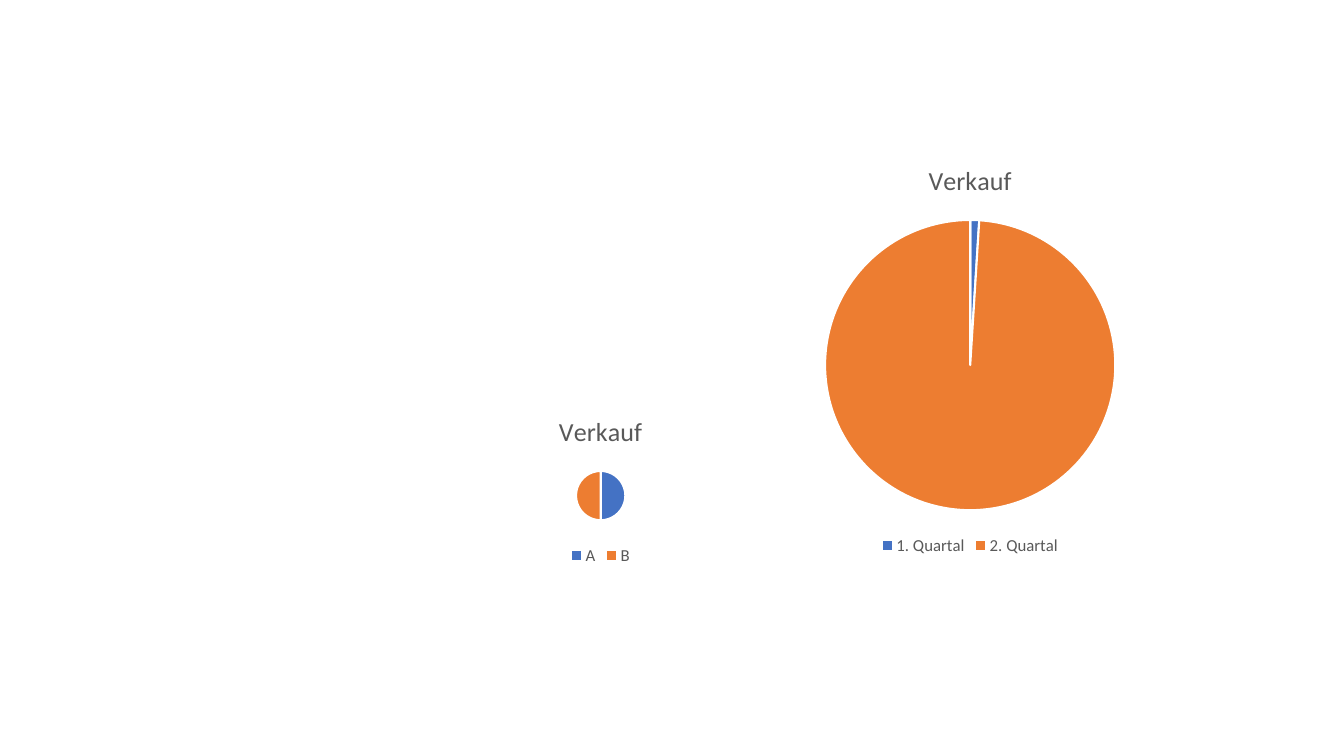
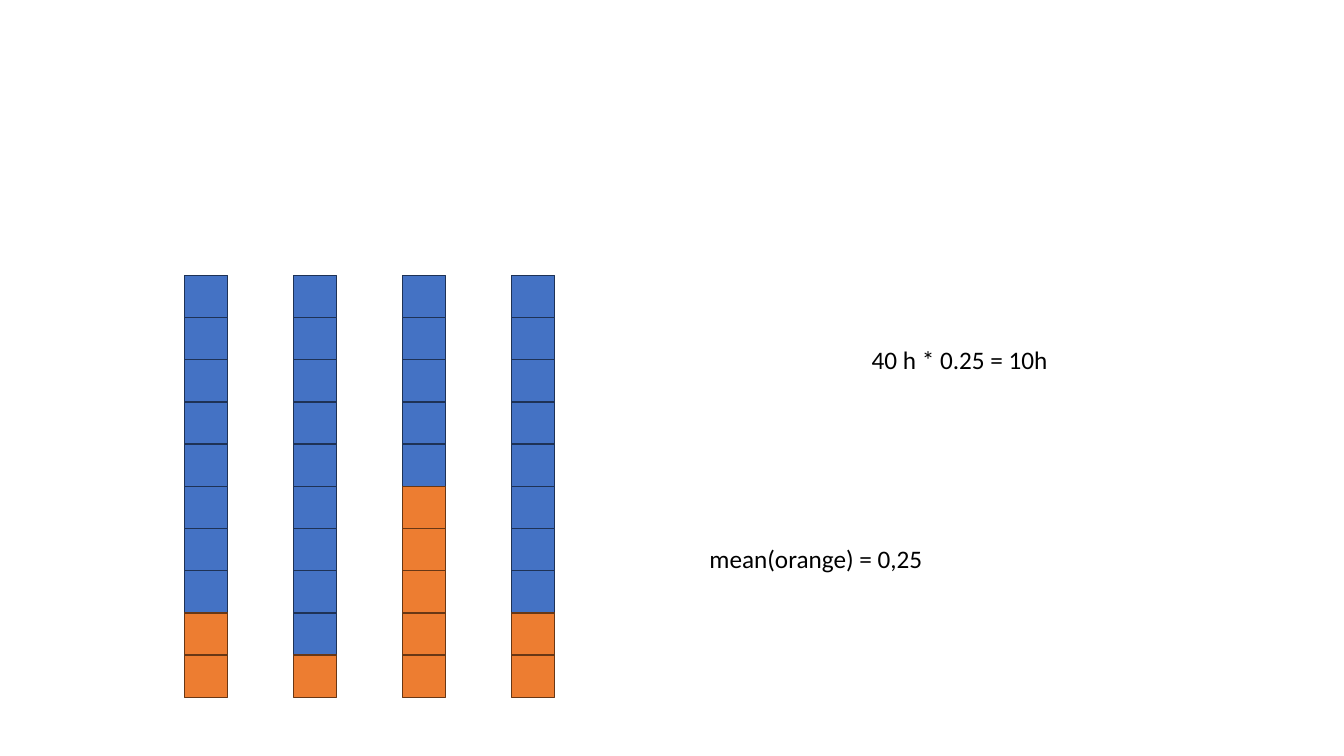
from pptx import Presentation
from pptx.chart.data import CategoryChartData
from pptx.dml.color import RGBColor
from pptx.enum.chart import XL_CHART_TYPE as ChartType, XL_LEGEND_POSITION as LegendPosition
from pptx.enum.shapes import MSO_SHAPE as Shape
from pptx.enum.text import MSO_AUTO_SIZE as AutoSize
from pptx.util import Pt

BLUE = RGBColor(0x44, 0x72, 0xC4)
DARK_BLUE = RGBColor(0x1E, 0x32, 0x56)
ORANGE = RGBColor(0xED, 0x7D, 0x31)
DARK_ORANGE = RGBColor(0x68, 0x37, 0x15)
GREY = RGBColor(0x59, 0x59, 0x59)
BLACK = RGBColor(0, 0, 0)
WHITE = RGBColor(0xFF, 0xFF, 0xFF)
FONT = "Calibri"

# Boxes are left, top, width, height in points.
PIES = [
    {"box": (338.4, 285.8, 181.4, 121), "values": {"A": 50, "B": 50}},
    {"box": (461.5, 103, 463, 296.6), "values": {"1. Quartal": 1, "2. Quartal": 99}},
]
PIE_TITLE = "Verkauf"

ORANGE_CELLS = [2, 1, 5, 2]
CELLS_PER_COLUMN = 10
COLUMNS_LEFT, COLUMNS_TOP = 131.6, 196.6
CELL_WIDTH, CELL_HEIGHT = 31, 30.15
COLUMN_PITCH = 77.9

NOTES = [
    ("mean(orange) = 0,25", (499.7, 384.6, 168.5, 29)),
    ("40 h * 0.25 = 10h", (615.6, 242.6, 141.8, 29)),
]


def points(box):
    return [Pt(length) for length in box]


def format_font(font, size, color):
    font.name = FONT
    font.size = Pt(size)
    font.color.rgb = color
    font.bold = False


def add_text(slide, text, box, size=18, color=BLACK):
    frame = slide.shapes.add_textbox(*points(box)).text_frame
    frame.word_wrap = False
    frame.auto_size = AutoSize.SHAPE_TO_FIT_TEXT
    run = frame.paragraphs[0].add_run()
    run.text = text
    format_font(run.font, size, color)


def add_pie(slide, box, values):
    data = CategoryChartData()
    data.categories = list(values)
    data.add_series(PIE_TITLE, list(values.values()))
    chart = slide.shapes.add_chart(ChartType.PIE, *points(box), data).chart
    format_font(chart.font, 10, BLACK)

    chart.has_title = True
    title_run = chart.chart_title.text_frame.paragraphs[0].add_run()
    title_run.text = PIE_TITLE
    format_font(title_run.font, 18.6, GREY)
    chart.chart_title.include_in_layout = False

    chart.has_legend = True
    chart.legend.position = LegendPosition.BOTTOM
    chart.legend.include_in_layout = False
    format_font(chart.legend.font, 12, GREY)

    plot = chart.plots[0]
    plot.vary_by_categories = True
    for index, color in enumerate((BLUE, ORANGE)):
        slice_format = plot.series[0].points[index].format
        slice_format.fill.solid()
        slice_format.fill.fore_color.rgb = color
        slice_format.line.color.rgb = WHITE
        slice_format.line.width = Pt(1.5)


def add_cell(slide, box, fill, outline):
    cell = slide.shapes.add_shape(Shape.RECTANGLE, *points(box))
    cell.shadow.inherit = False
    cell.fill.solid()
    cell.fill.fore_color.rgb = fill
    cell.line.color.rgb = outline
    cell.line.width = Pt(1)


def add_columns(slide):
    """Draw stacked cells, with the orange ones at the foot of each column."""
    for column, orange_count in enumerate(ORANGE_CELLS):
        left = COLUMNS_LEFT + column * COLUMN_PITCH
        for row in range(CELLS_PER_COLUMN):
            is_orange = row >= CELLS_PER_COLUMN - orange_count
            fill, outline = (ORANGE, DARK_ORANGE) if is_orange else (BLUE, DARK_BLUE)
            top = COLUMNS_TOP + row * CELL_HEIGHT
            add_cell(slide, (left, top, CELL_WIDTH, CELL_HEIGHT), fill, outline)


def main():
    presentation = Presentation()
    presentation.slide_width, presentation.slide_height = Pt(960), Pt(540)
    blank = presentation.slide_layouts[6]

    pie_slide = presentation.slides.add_slide(blank)
    for pie in PIES:
        add_pie(pie_slide, **pie)

    column_slide = presentation.slides.add_slide(blank)
    add_columns(column_slide)
    for text, box in NOTES:
        add_text(column_slide, text, box)

    presentation.save("out.pptx")


if __name__ == "__main__":
    main()
